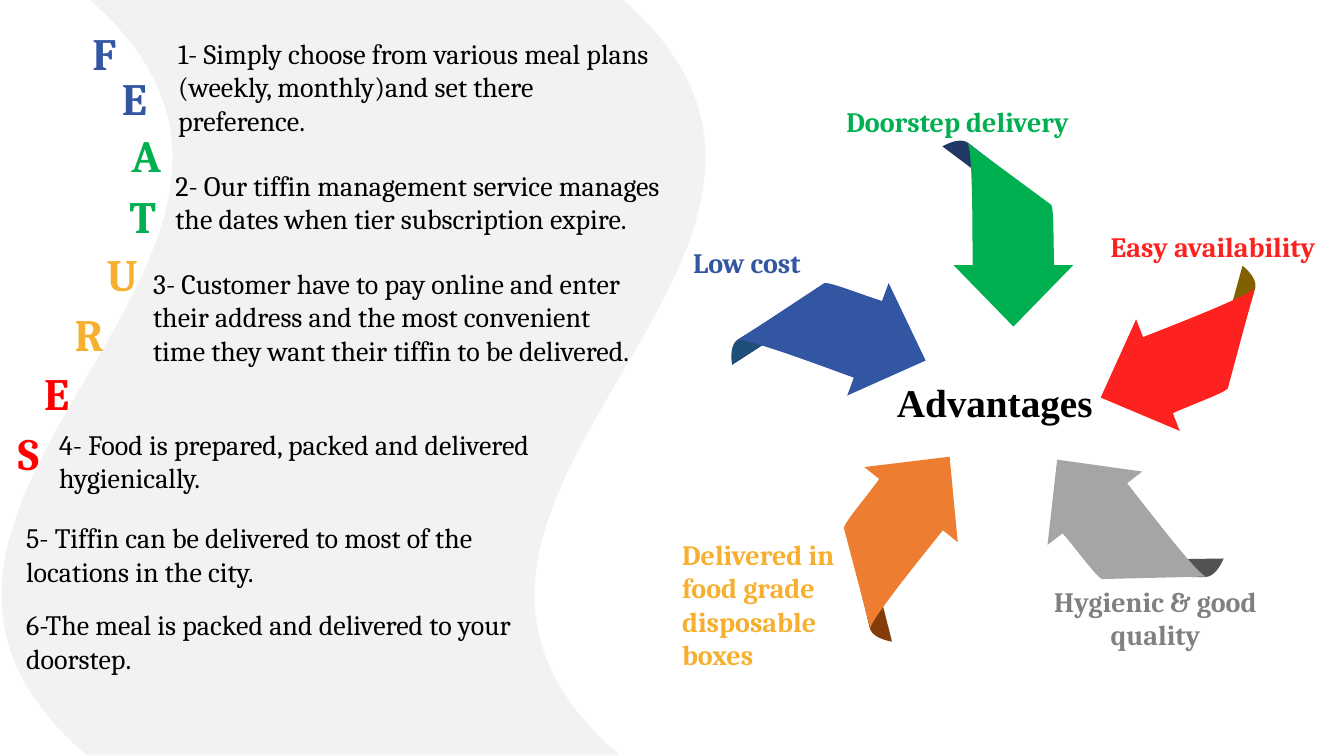
from math import cos, radians, sin

from pptx import Presentation
from pptx.dml.color import RGBColor
from pptx.enum.shapes import MSO_SHAPE as Shape
from pptx.enum.text import MSO_AUTO_SIZE as AutoSize, PP_ALIGN as Align
from pptx.util import Cm, Pt

COLORS = {
    "black": "000000", "band": "F2F2F2", "grey text": "808080",
    "blue": "3256A2", "green": "00B050", "amber": "F6AF2F", "pure red": "FF0000",
    "red": "FD2120", "grey": "A5A5A5", "orange": "ED7D31",
    "navy": "203864", "olive": "806000", "dark grey": "525252",
    "brown": "843C0B", "teal": "1F4E79",
}

# Outlines in cm around the arrow's centre; a group of three points is a curve.
FOLD = [(-1.13, -2.32), ((-1.33, -2.47), (-1.64, -2.32), (-1.79, -2.24)),
        (0.34, -0.64), (0.9, -0.74)]
BODY = [(-1.15, -2.32), (0.95, -0.77), ((1.03, -0.67), (1, 0.25), (1.03, 0.75)),
        (1.51, 0.75), (0, 2.3), (-1.51, 0.75), (-1.03, 0.75),
        ((-1.03, -0.26), (-1.03, -2.14), (-1.15, -2.32))]

# centre x, centre y, rotation, fold colour, body colour
ARROWS = [
    (25.54, 5.93, 0, "navy", "green"),
    (29.88, 9.18, 68.6, "olive", "red"),
    (28.05, 13.4, 142.2, "dark grey", "grey"),
    (22.49, 13.3, 218.8, "brown", "orange"),
    (21.17, 8.29, 290.2, "teal", "blue"),
]

# text, left, top, width, height, colour, extra style
ADVANTAGES = [
    ("Advantages", 22.35, 9.4, 5.49, 1.45, "black",
     {"size": 28, "font": "Times New Roman"}),
    ("Doorstep delivery", 21.08, 2.08, 6.38, 1.37, "green", {"spacing": 1.5}),
    ("Easy availability", 27.74, 5.66, 5.77, 1.12, "red", {}),
    ("Delivered in food grade disposable boxes", 16.94, 13.41, 4.6, 3.68, "amber", {}),
    ("Hygienic & good quality", 25.17, 14.6, 7.9, 1.96, "grey text",
     {"align": Align.CENTER}),
    ("Low cost", 17.22, 6.07, 3.4, 1.12, "blue", {}),
]

# letter, left, top, colour
LETTERS = [
    ("F", 2.08, -0.15, "blue"), ("E", 2.82, 0.99, "blue"),
    ("A", 3.07, 2.41, "green"), ("T", 3.02, 3.96, "green"),
    ("U", 2.44, 5.41, "amber"), ("R", 1.63, 6.93, "amber"),
    ("E", 0.86, 8.41, "pure red"), ("S", 0.2, 9.93, "pure red"),
]

# text, left, top, width, height
FEATURES = [
    ("1- Simply choose from various meal plans (weekly, monthly)and set there "
     "preference.", 4.24, 0.79, 12.7, 2.82),
    ("2- Our tiffin management service manages the dates when tier subscription "
     "expire.", 4.17, 4.11, 13.23, 1.96),
    ("3- Customer have to pay online and enter their address and the most "
     "convenient time they want their tiffin to be delivered.",
     3.61, 6.58, 12.88, 3.68),
    ("4- Food is prepared, packed and delivered hygienically.",
     1.24, 10.64, 13.34, 1.96),
    ("5- Tiffin can be delivered to most of the locations in the city.",
     0.41, 13, 13.34, 1.96),
    ("6-The meal is packed and delivered to your doorstep.",
     0.41, 15.19, 13.34, 2.41),
]


def flatten(outline, steps=12):
    """Turn the curves of an outline into short straight steps."""
    points = [outline[0]]
    for part in outline[1:]:
        if len(part) == 2:
            points.append(part)
            continue
        a, (b, c, d) = points[-1], part
        for i in range(1, steps + 1):
            t = i / steps
            u = 1 - t
            points.append(tuple(
                u**3 * a[k] + 3 * u * u * t * b[k] + 3 * u * t * t * c[k] + t**3 * d[k]
                for k in (0, 1)))
    return points


class Deck:
    font, size = "Cambria", 20

    def __init__(self):
        self.prs = Presentation()
        self.prs.slide_width, self.prs.slide_height = Cm(33.87), Cm(19.05)
        self.s = self.prs.slides.add_slide(self.prs.slide_layouts[6])

    def paint(self, sp, color):
        sp.shadow.inherit = False
        sp.fill.solid()
        sp.fill.fore_color.rgb = RGBColor.from_string(COLORS[color])
        sp.line.fill.background()

    def wave(self, x, y, w, h, color, rotation):
        sp = self.s.shapes.add_shape(Shape.WAVE, Cm(x), Cm(y), Cm(w), Cm(h))
        sp.rotation = rotation
        self.paint(sp, color)

    def arrow_part(self, outline, cx, cy, rotation, color):
        """Place an outline turned around the arrow's centre."""
        points = [(Cm(x), Cm(y)) for x, y in flatten(outline)]
        builder = self.s.shapes.build_freeform(*points[0], scale=1.0)
        builder.add_line_segments(points[1:], close=True)
        sp = builder.convert_to_shape()
        dx, dy = sp.left + sp.width / 2, sp.top + sp.height / 2
        co, si = cos(radians(rotation)), sin(radians(rotation))
        sp.left = round(Cm(cx) + dx * co - dy * si - sp.width / 2)
        sp.top = round(Cm(cy) + dx * si + dy * co - sp.height / 2)
        sp.rotation = rotation
        self.paint(sp, color)

    def text(self, text, x, y, w, h, color="black", size=size, font=font,
             bold=False, spacing=None, align=None):
        tf = self.s.shapes.add_textbox(Cm(x), Cm(y), Cm(w), Cm(h)).text_frame
        tf.word_wrap = True
        tf.auto_size = AutoSize.SHAPE_TO_FIT_TEXT
        tf.text = text
        p = tf.paragraphs[0]
        p.line_spacing, p.alignment = spacing, align
        f = p.runs[0].font
        f.name, f.size, f.bold = font, Pt(size), bold
        f.color.rgb = RGBColor.from_string(COLORS[color])


def main():
    deck = Deck()
    for cx, cy, rotation, fold, body in ARROWS:
        deck.arrow_part(FOLD, cx, cy, rotation, fold)
        deck.arrow_part(BODY, cx, cy, rotation, body)
    for *label, style in ADVANTAGES:
        deck.text(*label, bold=True, **style)
    deck.wave(-0.64, 0.53, 19.1, 17.91, "band", 270)
    for letter, x, y, color in LETTERS:
        deck.text(letter, x, y, 1.02, 2.06, color, size=32, bold=True, spacing=1.5)
    for feature in FEATURES:
        deck.text(*feature)
    deck.prs.save("out.pptx")


if __name__ == "__main__":
    main()
